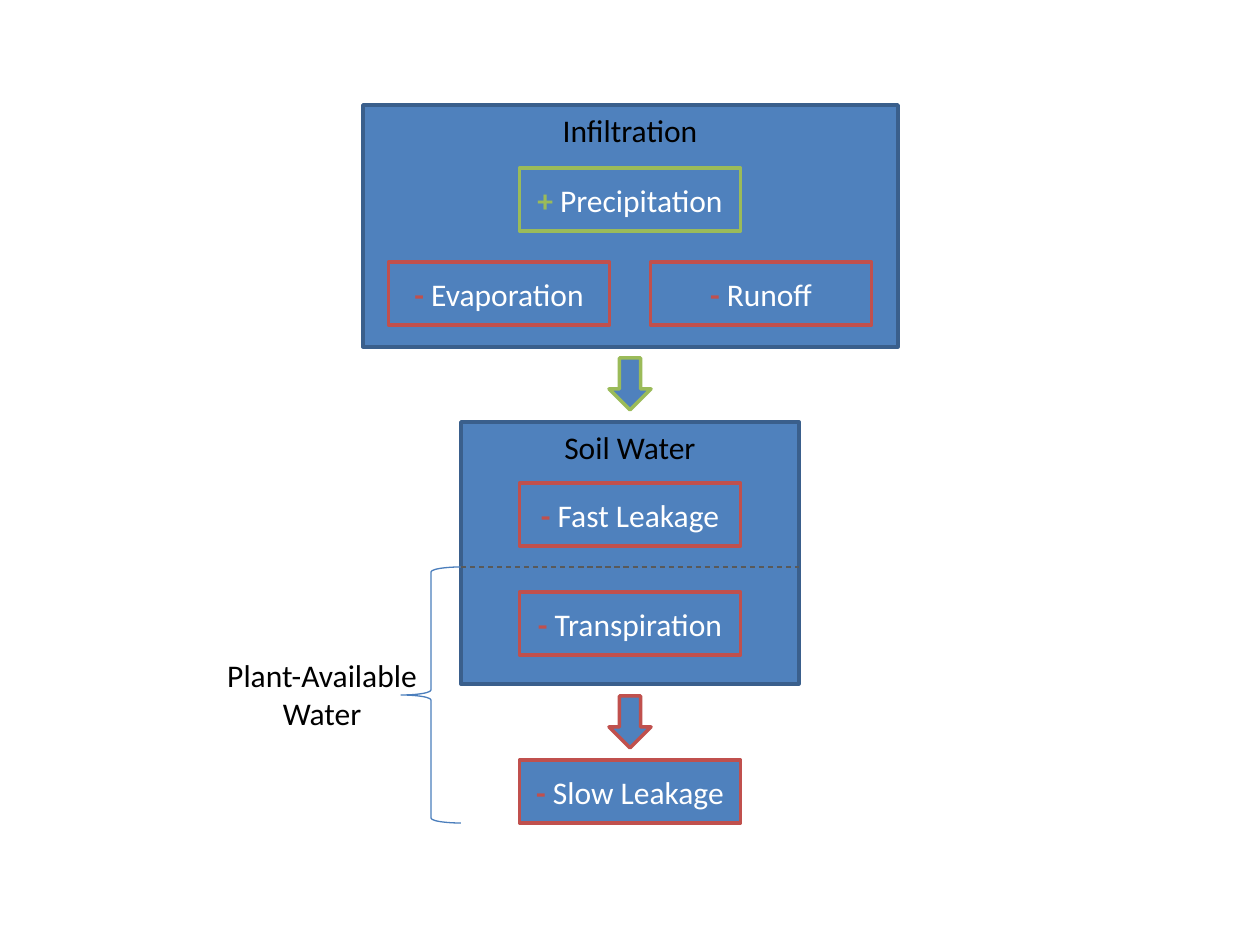
from pptx import Presentation
from pptx.dml.color import RGBColor
from pptx.enum.dml import MSO_LINE_DASH_STYLE as Dash
from pptx.enum.shapes import MSO_CONNECTOR, MSO_SHAPE
from pptx.enum.text import MSO_ANCHOR, MSO_AUTO_SIZE, PP_ALIGN
from pptx.oxml.ns import qn
from pptx.util import Pt
from lxml import etree

EMU_PER_PIXEL = 914400 / 126
BLUE = RGBColor(0x4F, 0x81, 0xBD)
NAVY = RGBColor(0x3A, 0x5F, 0x8C)
BRACE_BLUE = RGBColor(0x4B, 0x7E, 0xBC)
GREEN = RGBColor(0x9B, 0xBB, 0x59)
RED = RGBColor(0xC0, 0x50, 0x4D)
GRAY = RGBColor(0x59, 0x59, 0x59)
BLACK = RGBColor(0, 0, 0)
WHITE = RGBColor(0xFF, 0xFF, 0xFF)

CENTER = 630
FLOW_W, FLOW_H = 221, 63
ARROW_W, ARROW_H = 42, 52
TITLE_W, TITLE_H = 287, 50
SOIL_LEFT, SOIL_RIGHT, SOIL_TOP = 461, 799, 422
DIVIDER_Y = 567
SLOW_TOP = 760


def emu(*pixels):
    """Turn pixel lengths into EMU."""
    return [round(value * EMU_PER_PIXEL) for value in pixels]


def add_block(preset, box, outline, width=2, fill=BLUE):
    """Add a flat outlined shape in the pixel box (left, top, width, height)."""
    block = slide.shapes.add_shape(preset, *emu(*box))
    block.shadow.inherit = False
    if fill is None:
        block.fill.background()
    else:
        block.fill.solid()
        block.fill.fore_color.rgb = fill
    block.line.color.rgb = outline
    block.line.width = Pt(width)
    return block


deck = Presentation()
deck.slide_width, deck.slide_height = emu(1260, 945)
slide = deck.slides.add_slide(deck.slide_layouts[6])

# Water stores
for store in [(363, 105, 535, 242), (SOIL_LEFT, SOIL_TOP, SOIL_RIGHT - SOIL_LEFT, 262)]:
    add_block(MSO_SHAPE.RECTANGLE, store, NAVY)

# Gains and losses
flows = [
    ("+", "Precipitation", CENTER, 168, GREEN),
    ("-", "Evaporation", 499, 262, RED),
    ("-", "Runoff", 761, 262, RED),
    ("-", "Fast Leakage", CENTER, 483, RED),
    ("-", "Transpiration", CENTER, 592, RED),
    ("-", "Slow Leakage", CENTER, SLOW_TOP, RED),
]
for sign, process, middle, top, accent in flows:
    flow = add_block(MSO_SHAPE.RECTANGLE,
                     (middle - FLOW_W / 2, top, FLOW_W, FLOW_H), accent)
    flow.text_frame.vertical_anchor = MSO_ANCHOR.MIDDLE
    paragraph = flow.text_frame.paragraphs[0]
    paragraph.alignment = PP_ALIGN.CENTER
    for words, color, bold in [(sign + " ", accent, True), (process, WHITE, False)]:
        run = paragraph.add_run()
        run.text = words
        run.font.color.rgb = color
        for key, value in {"name": "Calibri", "size": Pt(18), "bold": bold}.items():
            setattr(run.font, key, value)

# Arrows between the stores
for top, accent in [(358, GREEN), (696, RED)]:
    add_block(MSO_SHAPE.DOWN_ARROW,
              (CENTER - ARROW_W / 2, top, ARROW_W, ARROW_H), accent)

# Plant-available range
add_block(MSO_SHAPE.LEFT_BRACE,
          (401, DIVIDER_Y, SOIL_LEFT - 401, SLOW_TOP + FLOW_H - DIVIDER_Y),
          BRACE_BLUE, 0.75, None)
divider = slide.shapes.add_connector(
    MSO_CONNECTOR.STRAIGHT, *emu(SOIL_LEFT, DIVIDER_Y, SOIL_RIGHT, DIVIDER_Y))
divider.line.color.rgb = GRAY
divider.line.width = Pt(0.75)
divider.line.dash_style = Dash.DASH
etree.SubElement(divider._element.spPr, qn("a:effectLst"))

# Headings
title_left = CENTER - TITLE_W / 2
headings = [
    (["Infiltration"], (title_left, 105, TITLE_W, TITLE_H), True),
    (["Soil Water"], (title_left, SOIL_TOP, TITLE_W, TITLE_H), True),
    (["Plant-Available", "Water"], (213, 650, 218, 89), False),
]
for lines, box, wrap in headings:
    frame = slide.shapes.add_textbox(*emu(*box)).text_frame
    frame.text = "\n".join(lines)
    frame.word_wrap = wrap
    frame.auto_size = MSO_AUTO_SIZE.SHAPE_TO_FIT_TEXT
    for paragraph in frame.paragraphs:
        paragraph.alignment = PP_ALIGN.CENTER
        font = paragraph.runs[0].font
        font.color.rgb = BLACK
        for key, value in {"name": "Calibri", "size": Pt(18)}.items():
            setattr(font, key, value)

deck.save("out.pptx")
